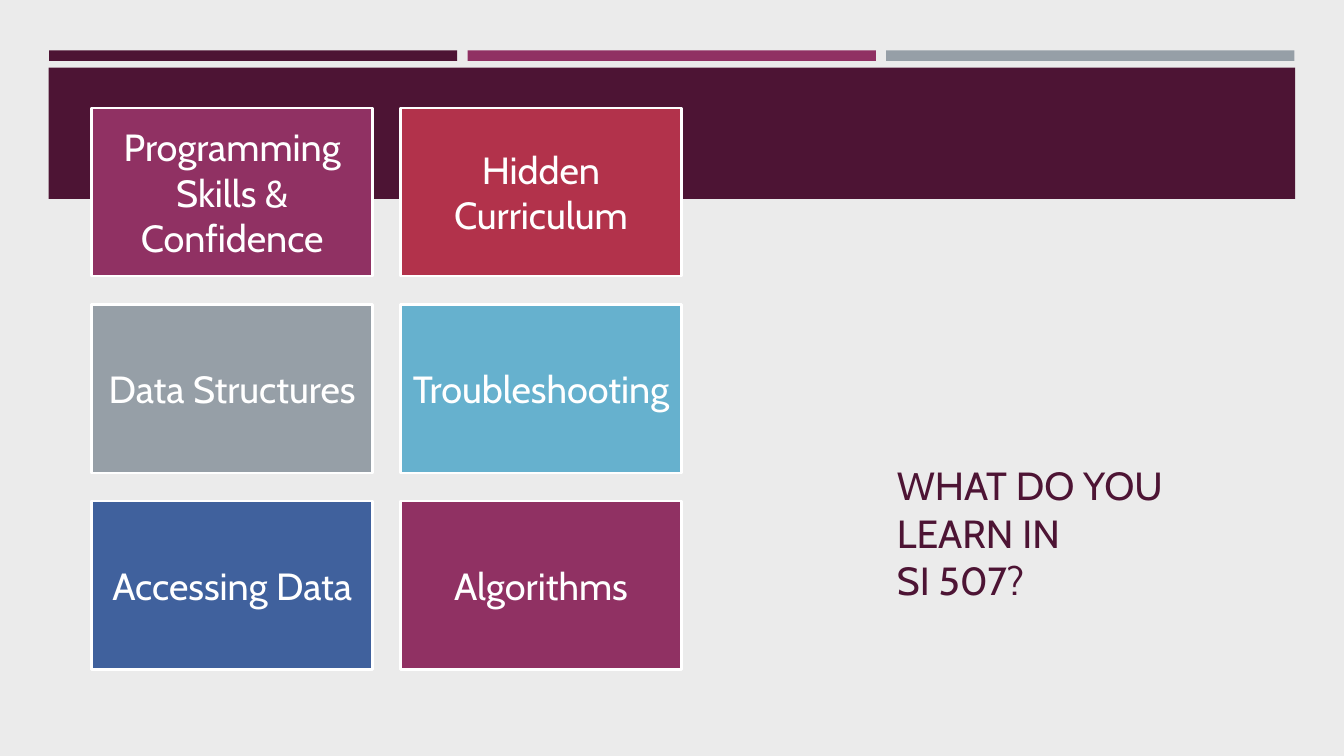
"""Build a slide with a grid of six course topics and a title."""
from dataclasses import dataclass

from pptx import Presentation
from pptx.dml.color import RGBColor
from pptx.enum.shapes import MSO_SHAPE
from pptx.enum.text import MSO_ANCHOR, PP_ALIGN
from pptx.util import Pt

RECT = MSO_SHAPE.RECTANGLE
MIDDLE, BOTTOM = MSO_ANCHOR.MIDDLE, MSO_ANCHOR.BOTTOM
LEFT, CENTER = PP_ALIGN.LEFT, PP_ALIGN.CENTER


@dataclass(frozen=True)
class Theme:
    """Colours, font and type sizes."""
    paper: str = "EBEBEB"
    plum: str = "4D1434"
    berry: str = "903163"
    red: str = "B2324B"
    gray: str = "969FA7"
    sky: str = "66B1CE"
    blue: str = "40619D"
    white: str = "FFFFFF"
    font: str = "Cabin"
    title: int = 28
    topic: int = 27


def write(frame, text, *, font, size, color, align=LEFT, anchor=MIDDLE, inset=(7.2, 3.6)):
    """Put formatted text into a frame."""
    frame.word_wrap = True
    frame.vertical_anchor = anchor
    frame.margin_left = frame.margin_right = Pt(inset[0])
    frame.margin_top = frame.margin_bottom = Pt(inset[1])
    line = frame.paragraphs[0]
    line.text = text
    line.alignment = align
    for run in line.runs:
        run.font.name = font
        run.font.size = Pt(size)
        run.font.color.rgb = RGBColor.from_string(color)


class Painter:
    """Draws styled elements on the current slide."""

    def __init__(self, slide, theme):
        """Keep the slide and theme, and paint the background."""
        self.slide, self.theme = slide, theme
        fill = slide.background.fill
        fill.solid()
        fill.fore_color.rgb = RGBColor.from_string(theme.paper)

    def block(self, left, top, width, height, color):
        """Draw a plain filled rectangle."""
        shape = self.slide.shapes.add_shape(RECT, Pt(left), Pt(top), Pt(width), Pt(height))
        shape.shadow.inherit = False
        shape.fill.solid()
        shape.fill.fore_color.rgb = RGBColor.from_string(color)
        shape.line.fill.background()
        return shape

    def tile(self, left, top, width, height, color, text):
        """Draw a white-edged topic tile."""
        look = self.theme
        shape = self.block(left, top, width, height, color)
        shape.line.color.rgb = RGBColor.from_string(look.white)
        shape.line.width = Pt(1.75)
        write(shape.text_frame, text, font=look.font, size=look.topic,
              color=look.white, align=CENTER, inset=(8, 8))

    def title(self, left, top, width, height, text):
        """Add the slide title."""
        look = self.theme
        box = self.slide.shapes.add_textbox(Pt(left), Pt(top), Pt(width), Pt(height))
        write(box.text_frame, text, font=look.font, size=look.title,
              color=look.plum, anchor=BOTTOM)


def main():
    """Build and save the slide."""
    deck = Presentation()
    deck.slide_width, deck.slide_height = Pt(960), Pt(540)
    look = Theme()
    paint = Painter(deck.slides.add_slide(deck.slide_layouts[6]), look)

    for col, color in enumerate((look.plum, look.berry, look.gray)):
        paint.block(35 + 299 * col, 36, 291.6, 7.5, color)
    paint.block(34.7, 48.4, 890.4, 93.7, look.plum)
    paint.title(633.6, 99.4, 275.8, 334.8, "WHAT DO YOU LEARN IN \vSI 507?")

    topics = (
        ("Programming Skills & Confidence", look.berry),
        ("Hidden Curriculum", look.red),
        ("Data Structures", look.gray),
        ("Troubleshooting", look.sky),
        ("Accessing Data", look.blue),
        ("Algorithms", look.berry),
    )
    for index, (text, color) in enumerate(topics):
        row, col = divmod(index, 2)
        paint.tile(65.5 + 220.6 * col, 77 + 140.5 * row, 200.6, 120.3, color, text)

    deck.save("out.pptx")


if __name__ == "__main__":
    main()
